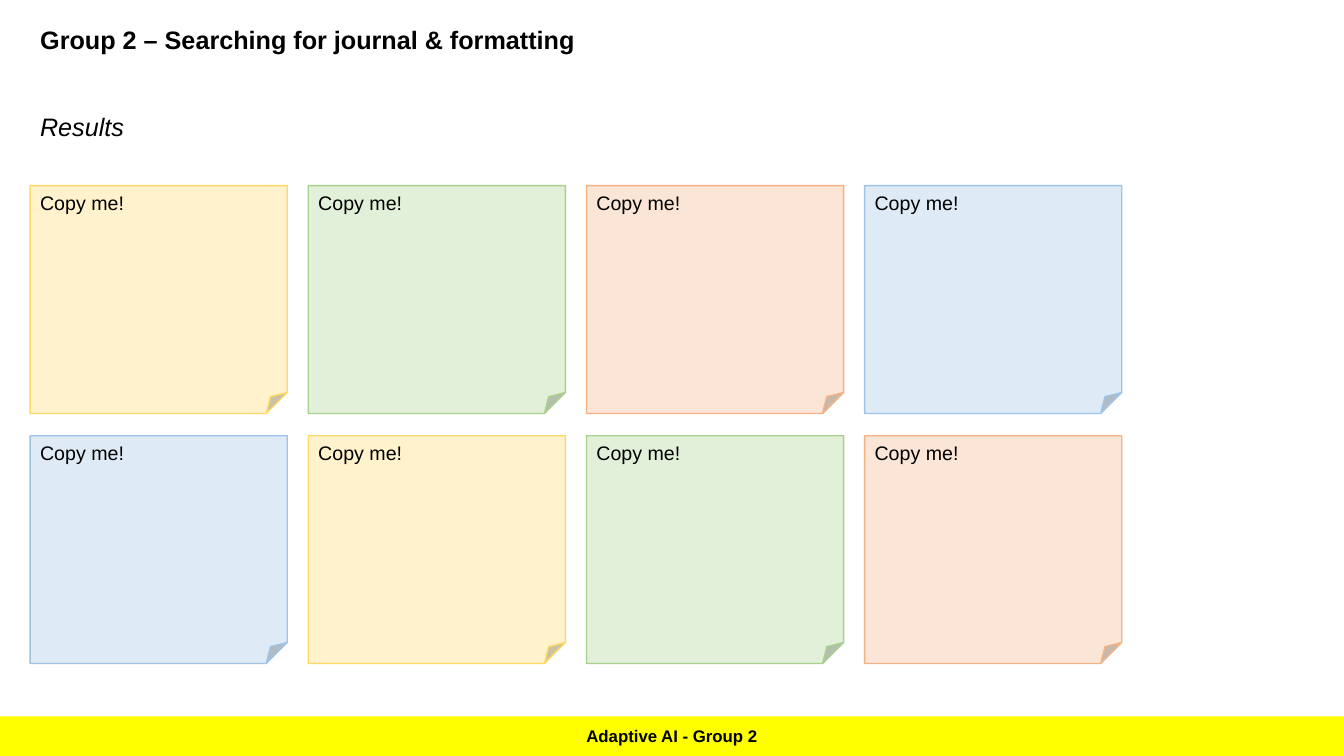
"""Build the Group 2 results board with its sticky notes."""
import lxml.etree
import pptx
import pptx.dml.color
import pptx.enum.shapes
import pptx.enum.text
import pptx.oxml.ns
import pptx.util

Cm = pptx.util.Cm
Shapes = pptx.enum.shapes.MSO_SHAPE
Align = pptx.enum.text.PP_ALIGN
Anchor = pptx.enum.text.MSO_ANCHOR
qn = pptx.oxml.ns.qn

LEFT = 0.76
NOTE_TOP = 4.68
NOTE_WIDTH, NOTE_HEIGHT = 6.48, 5.74
COLUMN_STEP, ROW_STEP = 7.01, 6.3
NOTE_COLORS = [
    ("FFF2CC", "FFD966"),
    ("E2F0D9", "A9D18E"),
    ("FBE5D6", "F4B183"),
    ("DEEBF7", "9DC3E6"),
]


def color(hex_string):
    return pptx.dml.color.RGBColor.from_string(hex_string)


def write(shape, text, size, bold=False, italic=False, align=Align.LEFT, anchor=Anchor.TOP):
    frame = shape.text_frame
    frame.word_wrap = True
    frame.auto_size = pptx.enum.text.MSO_AUTO_SIZE.NONE
    frame.vertical_anchor = anchor
    frame.text = text
    paragraph = frame.paragraphs[0]
    paragraph.alignment = align
    font = paragraph.font
    font.name = "Arial"
    font.size = pptx.util.Pt(size)
    font.bold = bold
    font.italic = italic
    font.color.rgb = color("000000")


def add_filled(slide, kind, left, top, width, height, fill, line=None):
    shape = slide.shapes.add_shape(kind, Cm(left), Cm(top), Cm(width), Cm(height))
    shape.shadow.inherit = False
    shape.fill.solid()
    shape.fill.fore_color.rgb = color(fill)
    if line:
        shape.line.color.rgb = color(line)
        shape.line.width = pptx.util.Pt(1)
    else:
        shape.line.fill.background()
    return shape


def set_fold(shape, value):
    geometry = shape.element.spPr.find(qn("a:prstGeom"))
    guides = geometry.find(qn("a:avLst"))
    lxml.etree.SubElement(guides, qn("a:gd"), name="adj", fmla=f"val {value}")


def add_footer(slide, text):
    bar = add_filled(slide, Shapes.RECTANGLE, 0, 18.05, 33.87, 1, "FFFF00")
    write(bar, text, 12, bold=True, align=Align.CENTER, anchor=Anchor.MIDDLE)


def set_title(slide, text):
    title = slide.shapes.title
    title.left, title.top, title.width, title.height = Cm(LEFT), Cm(0.48), Cm(16.94), Cm(1.03)
    write(title, text, 18, bold=True)


def add_subtitle(slide, text):
    box = slide.shapes.add_textbox(Cm(LEFT), Cm(2.67), Cm(32.4), Cm(1.03))
    write(box, text, 18, italic=True)


def add_note(slide, row, column):
    fill, line = NOTE_COLORS[(column - row) % len(NOTE_COLORS)]
    left = LEFT + column * COLUMN_STEP
    top = NOTE_TOP + row * ROW_STEP
    note = add_filled(slide, Shapes.FOLDED_CORNER, left, top, NOTE_WIDTH, NOTE_HEIGHT, fill, line)
    set_fold(note, 9200)
    write(note, "Copy me!", 14)


def main():
    presentation = pptx.Presentation()
    presentation.slide_width = Cm(33.87)
    presentation.slide_height = Cm(19.05)
    slide = presentation.slides.add_slide(presentation.slide_layouts.get_by_name("Title Only"))
    add_footer(slide, "Adaptive AI - Group 2")
    set_title(slide, "Group 2 – Searching for journal & formatting")
    add_subtitle(slide, "Results")
    for row in range(2):
        for column in range(len(NOTE_COLORS)):
            add_note(slide, row, column)
    presentation.save("out.pptx")


main()
